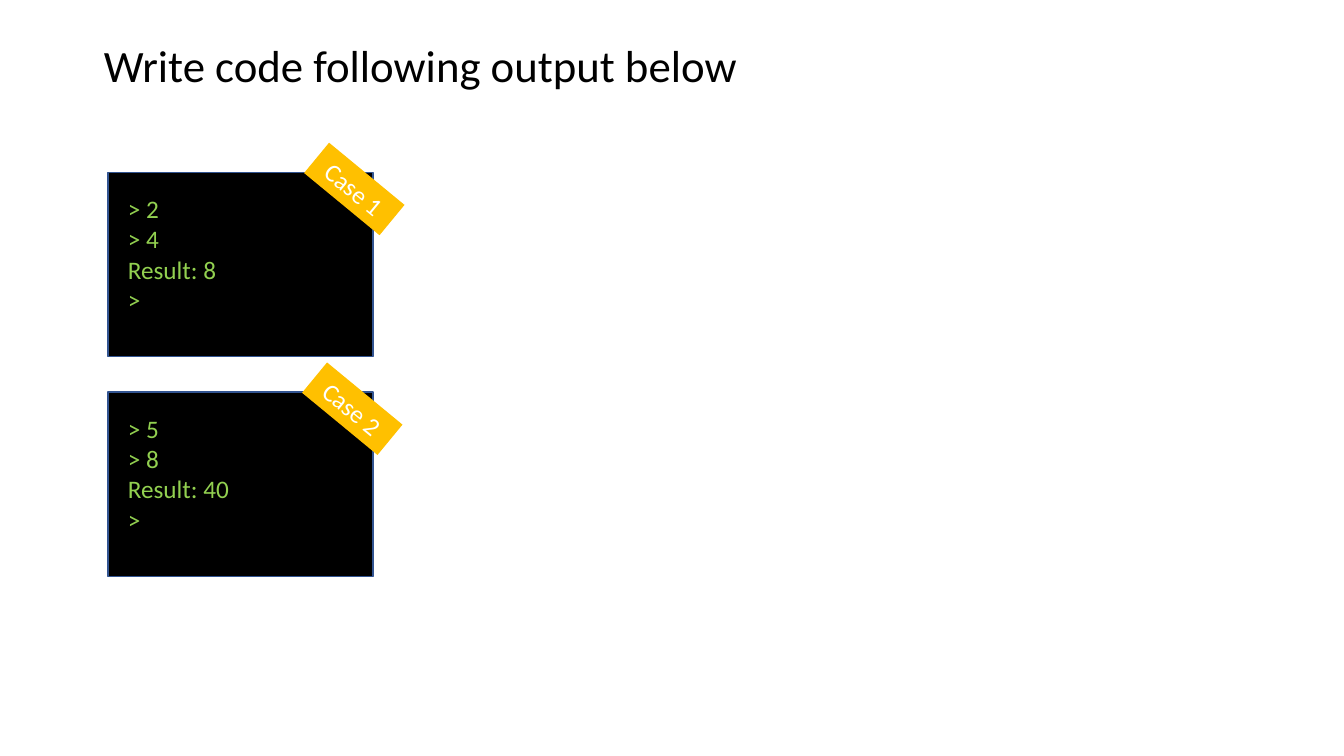
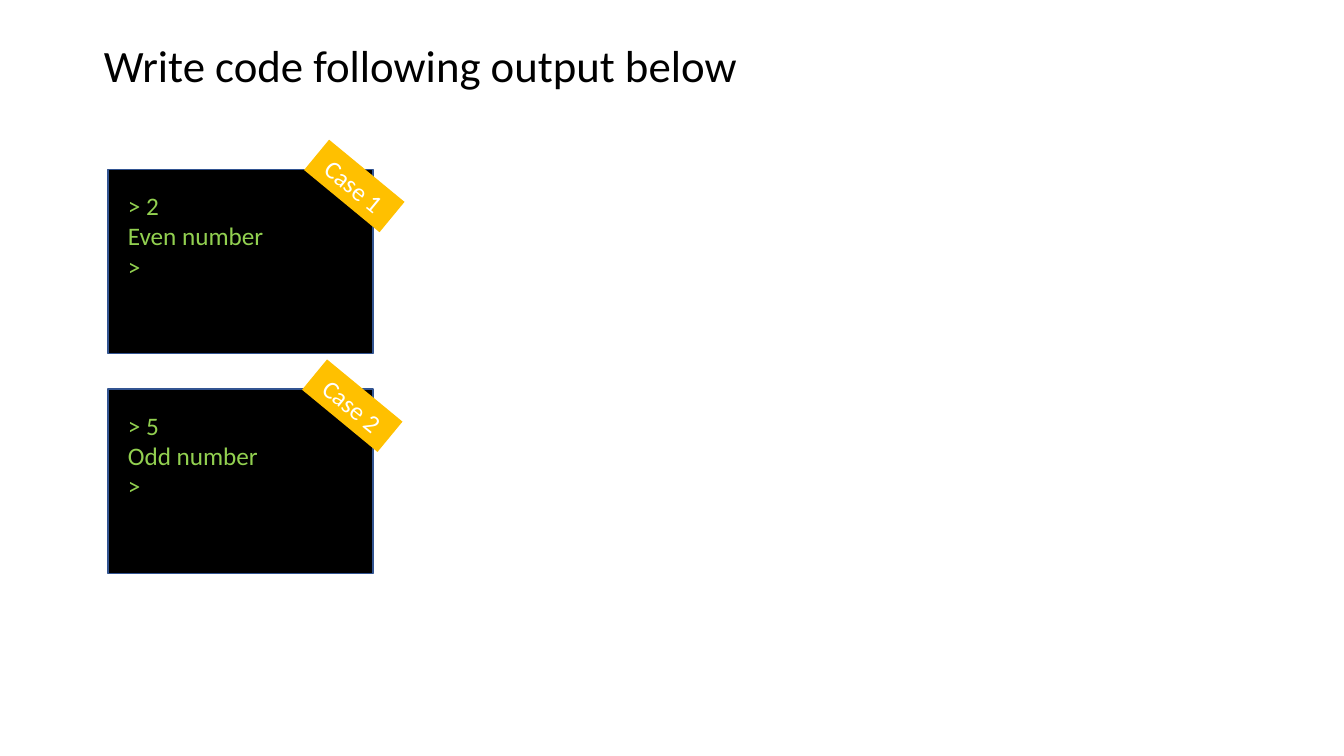
from pptx import Presentation
from pptx.dml.color import RGBColor
from pptx.enum import shapes, text
from pptx import util as u

BLACK = RGBColor(0, 0, 0)
WHITE = RGBColor(255, 255, 255)
GREEN = RGBColor(0x92, 0xD0, 0x50)
GOLD = RGBColor(0xFF, 0xC0, 0)
BLUE = RGBColor(0x32, 0x54, 0x91)
FONT = "Calibri"
COLS, ROWS = 133.33, 75
CELL = u.Inches(0.1)
STEP = 21.8


def grid(*cells):
    return [u.Emu(round(n * CELL)) for n in cells]


def write(frame, lines, size=18, color=GREEN, align=text.PP_ALIGN.LEFT,
          anchor=text.MSO_ANCHOR.TOP, wrap=False, fit=text.MSO_AUTO_SIZE.SHAPE_TO_FIT_TEXT):
    frame.word_wrap = wrap
    frame.auto_size = fit
    frame.vertical_anchor = anchor
    frame.text = "\n".join(lines)
    for par in frame.paragraphs:
        par.alignment = align
        font = par.runs[0].font
        font.name, font.size, font.color.rgb = FONT, u.Pt(size), color


class Deck:
    """Build slides of console output on a grid of tenth-inch cells."""

    def __init__(self):
        self.prs = Presentation()
        self.prs.slide_width, self.prs.slide_height = grid(COLS, ROWS)

    def page(self, title):
        self.slide = self.prs.slides.add_slide(self.prs.slide_layouts[5])
        head = self.slide.shapes.title
        head.left, head.top, head.width, head.height = grid(9.3, 3.2, 65.5, 6.4)
        write(head.text_frame, [title], size=32, color=BLACK)

    def rect(self, x, y, w, h, fill, line=None):
        box = self.slide.shapes.add_shape(shapes.MSO_SHAPE.RECTANGLE, *grid(x, y, w, h))
        box.shadow.inherit = False
        box.fill.solid()
        box.fill.fore_color.rgb = fill
        if line is None:
            box.line.fill.background()
        else:
            box.line.color.rgb = line
            box.line.width = u.Pt(1)
        return box

    def screen(self, y, width, lines):
        self.rect(10.7, y, 26.3, 18.3, BLACK, BLUE)
        high = 1 + 3.02 * len(lines)
        box = self.slide.shapes.add_textbox(*grid(11.7, y + 1.6, width, high))
        write(box.text_frame, lines)

    def tag(self, x, y, label):
        box = self.rect(x, y, 9.7, 3.9, GOLD)
        box.rotation = 39.5
        write(box.text_frame, [label], color=WHITE, align=text.PP_ALIGN.CENTER,
              anchor=text.MSO_ANCHOR.MIDDLE, wrap=True, fit=text.MSO_AUTO_SIZE.NONE)

    def cases(self, top, runs):
        for i, (width, lines) in enumerate(runs):
            self.screen(top + i * STEP, width, lines)
        for i in range(len(runs)):
            self.tag(30.3 - 0.2 * i, top - 0.3 + i * STEP, f"Case {i + 1}")


TASKS = [
    (17.1, [(10.9, ["> 2", "> 4", "Result: 8", ">"]),
            (12.2, ["> 5", "> 8", "Result: 40", ">"])]),
    (16.8, [(15.6, ["> 2", "Even number", ">"]),
            (15.1, ["> 5", "Odd number", ">"])]),
]

deck = Deck()
for top, runs in TASKS:
    deck.page("Write code following output below")
    deck.cases(top, runs)
deck.prs.save("out.pptx")
